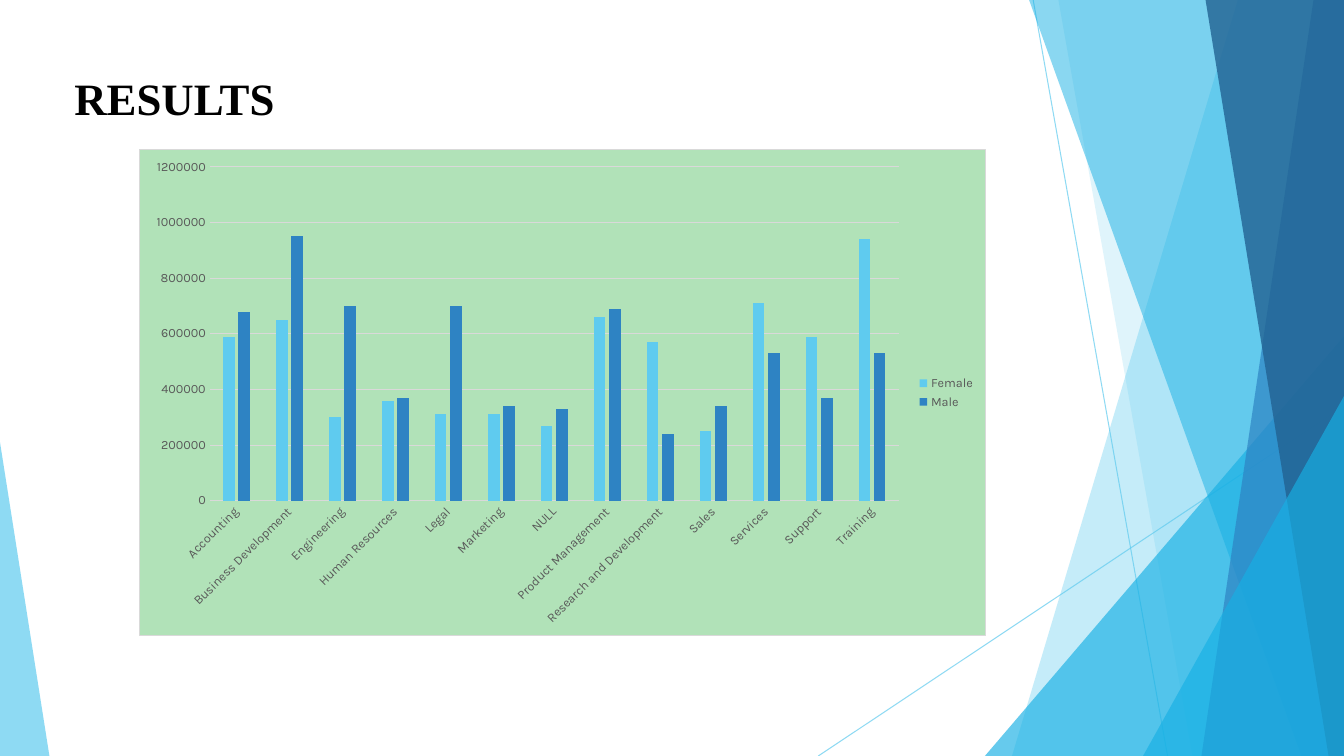
from dataclasses import dataclass

from lxml.etree import SubElement
from pptx import Presentation
from pptx.chart.data import CategoryChartData
from pptx.dml.color import RGBColor
from pptx.enum.chart import XL_CHART_TYPE as ChartType
from pptx.enum.chart import XL_LEGEND_POSITION as LegendPosition
from pptx.enum.chart import XL_TICK_MARK as TickMark
from pptx.enum.shapes import MSO_CONNECTOR as Connector
from pptx.enum.shapes import MSO_SHAPE as Shape
from pptx.oxml import parse_xml
from pptx.oxml.ns import nsdecls, qn
from pptx.util import Pt


@dataclass(frozen=True)
class Theme:
    """Colours, fonts and type sizes of the slide."""

    sky: str = "5FCBEF"
    cyan: str = "17B0E4"
    blue: str = "2E83C3"
    navy: str = "226292"
    mint: str = "B1E2B8"
    rule: str = "D9D9D9"
    label: str = "595959"
    title: str = "000000"
    title_font: str = "Times New Roman"
    chart_font: str = "Karla"
    title_size: int = 32
    label_size: int = 9
    line_width: float = 0.75


THEME = Theme()
WIDTH, HEIGHT = 960, 540

RAYS = [((738, 0), (834, 540)), ((960, 290), (584.5, 540))]
BACK_BANDS = [(884.2, 722.9, THEME.sky, 36), (756, 851.8, THEME.sky, 20)]
FRONT_BANDS = [
    (735.1, 929.5, THEME.cyan, 50),
    (938.2, 858.2, THEME.blue, 70),
    (861.1, 949, THEME.navy, 80),
]
DEPARTMENTS = [
    ("Accounting", 590000, 680000),
    ("Business Development", 650000, 950000),
    ("Engineering", 300000, 700000),
    ("Human Resources", 360000, 370000),
    ("Legal", 310000, 700000),
    ("Marketing", 310000, 340000),
    ("NULL", 270000, 330000),
    ("Product Management", 660000, 690000),
    ("Research and Development", 570000, 240000),
    ("Sales", 250000, 340000),
    ("Services", 710000, 530000),
    ("Support", 590000, 370000),
    ("Training", 940000, 530000),
]


def set_opacity(element, percent):
    """Give the first colour inside an element an opacity."""
    colour = next(element.iter(qn("a:srgbClr")))
    SubElement(colour, qn("a:alpha"), val=str(percent * 1000))


def paint(shape, colour, opacity):
    """Fill a shape with a translucent colour and no outline."""
    shape.shadow.inherit = False
    shape.fill.solid()
    shape.fill.fore_color.rgb = RGBColor.from_string(colour)
    shape.line.fill.background()
    set_opacity(shape._element.spPr, opacity)


def style_line(line, colour):
    """Set the colour and the common width of a line."""
    line.color.rgb = RGBColor.from_string(colour)
    line.width = Pt(THEME.line_width)


def style_font(font, name, size, colour):
    """Set the typeface, size and colour of a font."""
    font.name = name
    font.size = Pt(size)
    font.color.rgb = RGBColor.from_string(colour)


def add_ray(page, start, end):
    """Draw a thin translucent line."""
    ray = page.shapes.add_connector(
        Connector.STRAIGHT, *(Pt(value) for value in start + end)
    )
    style_line(ray.line, THEME.sky)
    properties = ray._element.spPr
    set_opacity(properties, 70)
    SubElement(properties, qn("a:effectLst"))


def add_band(page, top_x, bottom_x, colour, opacity):
    """Draw a slanted full-height band that ends at the right edge."""
    corners = [(WIDTH, 0), (WIDTH, HEIGHT), (bottom_x, HEIGHT)]
    builder = page.shapes.build_freeform(Pt(top_x), Pt(0))
    builder.add_line_segments([(Pt(x), Pt(y)) for x, y in corners], close=True)
    paint(builder.convert_to_shape(), colour, opacity)


def add_corner(page, left, top, width, apex, colour, opacity):
    """Draw a right triangle that stands on the bottom edge."""
    corner = page.shapes.add_shape(
        Shape.ISOSCELES_TRIANGLE, Pt(left), Pt(top), Pt(width), Pt(HEIGHT - top)
    )
    corner.adjustments[0] = apex
    paint(corner, colour, opacity)


def add_title(page, text):
    """Write the bold slide title."""
    box = page.shapes.add_textbox(Pt(46), Pt(46.8), Pt(546.5), Pt(46))
    box.text_frame.word_wrap = True
    para = box.text_frame.paragraphs[0]
    para.text = text
    para.font.bold = True
    style_font(para.font, THEME.title_font, THEME.title_size, THEME.title)


def style_axes(chart):
    """Format both axes, their labels and the gridlines."""
    for axis in (chart.category_axis, chart.value_axis):
        axis.major_tick_mark = axis.minor_tick_mark = TickMark.NONE
        style_font(
            axis.tick_labels.font, THEME.chart_font, THEME.label_size, THEME.label
        )
    style_line(chart.category_axis.format.line, THEME.rule)
    label_body = next(chart.category_axis._element.iter(qn("a:bodyPr")))
    label_body.set("rot", "-2700000")
    scale = chart.value_axis
    scale.minimum_scale, scale.maximum_scale = 0, 1200000
    scale.major_unit = 200000
    scale.format.line.fill.background()
    style_line(scale.major_gridlines.format.line, THEME.rule)


def fill_chart_area(chart):
    """Give the chart area its fill and border."""
    area = parse_xml(
        f"<c:spPr {nsdecls('c', 'a')}>"
        f'<a:solidFill><a:srgbClr val="{THEME.mint}"/></a:solidFill>'
        f'<a:ln w="{Pt(THEME.line_width)}"><a:solidFill>'
        f'<a:srgbClr val="{THEME.rule}"/></a:solidFill></a:ln></c:spPr>'
    )
    chart._chartSpace.find(qn("c:chart")).addnext(area)


def add_results_chart(page):
    """Add the clustered columns by department and gender."""
    names, female, male = zip(*DEPARTMENTS)
    data = CategoryChartData()
    data.categories = names
    data.add_series("Female", female)
    data.add_series("Male", male)
    chart = page.shapes.add_chart(
        ChartType.COLUMN_CLUSTERED, Pt(99.5), Pt(106.7), Pt(604.7), Pt(347.5), data
    ).chart
    chart.has_title = False
    style_font(chart.font, THEME.chart_font, 10, THEME.title)
    plot = chart.plots[0]
    plot.vary_by_categories = False
    plot.gap_width, plot.overlap = 219, -27
    for series, colour in zip(plot.series, (THEME.sky, THEME.blue)):
        series.format.fill.solid()
        series.format.fill.fore_color.rgb = RGBColor.from_string(colour)
    style_axes(chart)
    chart.has_legend = True
    chart.legend.position = LegendPosition.RIGHT
    chart.legend.include_in_layout = False
    style_font(chart.legend.font, THEME.chart_font, THEME.label_size, THEME.label)
    fill_chart_area(chart)


def main():
    """Build and save the results slide."""
    deck = Presentation()
    deck.slide_width, deck.slide_height = Pt(WIDTH), Pt(HEIGHT)
    page = deck.slides.add_slide(deck.slide_layouts[6])
    for ray in RAYS:
        add_ray(page, *ray)
    for band in BACK_BANDS:
        add_band(page, *band)
    add_corner(page, 703.5, 240, 256.5, 1, THEME.cyan, 66)
    for band in FRONT_BANDS:
        add_band(page, *band)
    add_corner(page, 816.5, 283, 143.5, 1, THEME.cyan, 66)
    add_corner(page, 0, 316, 35.3, 0, THEME.sky, 70)
    add_title(page, "RESULTS")
    add_results_chart(page)
    deck.save("out.pptx")


if __name__ == "__main__":
    main()
